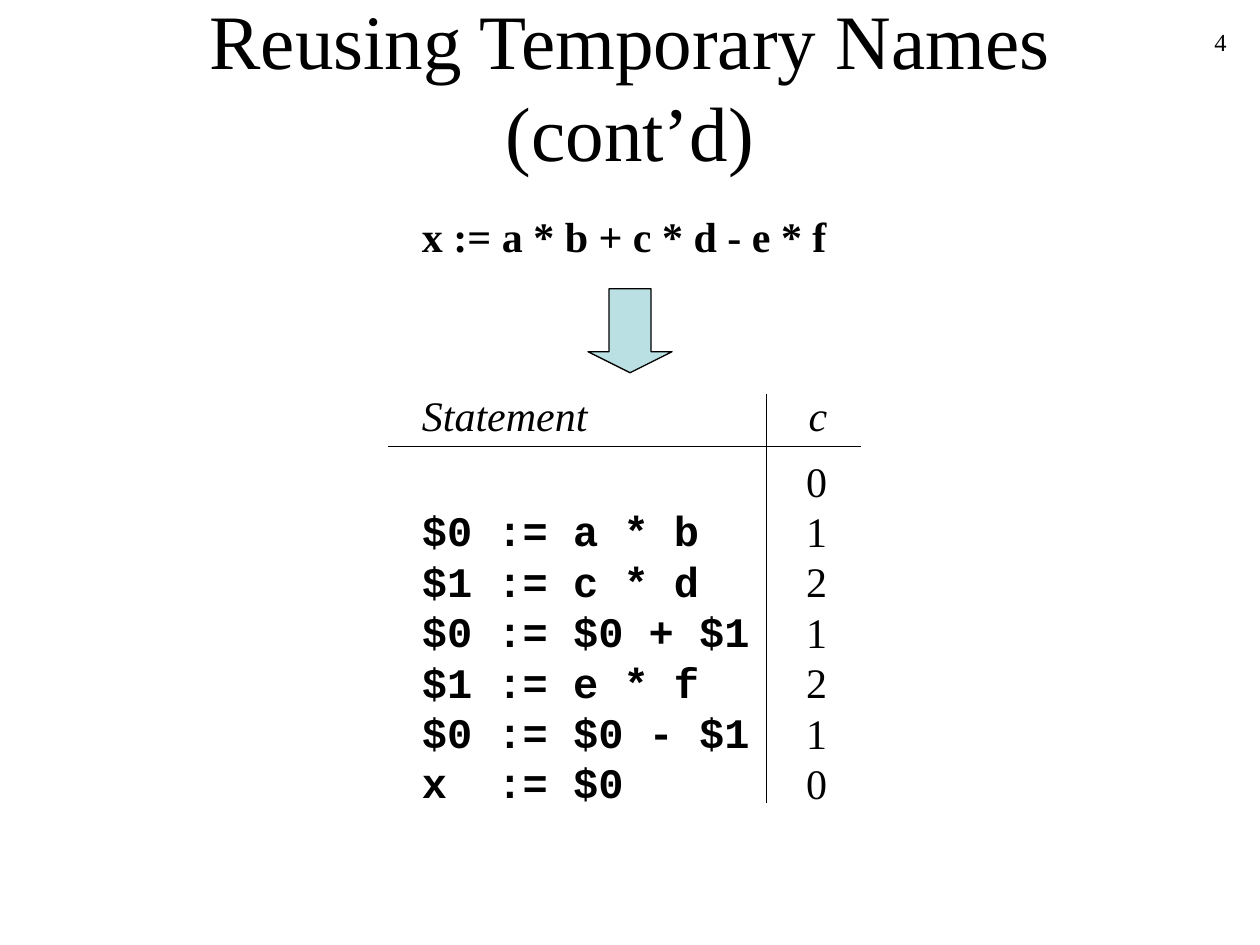
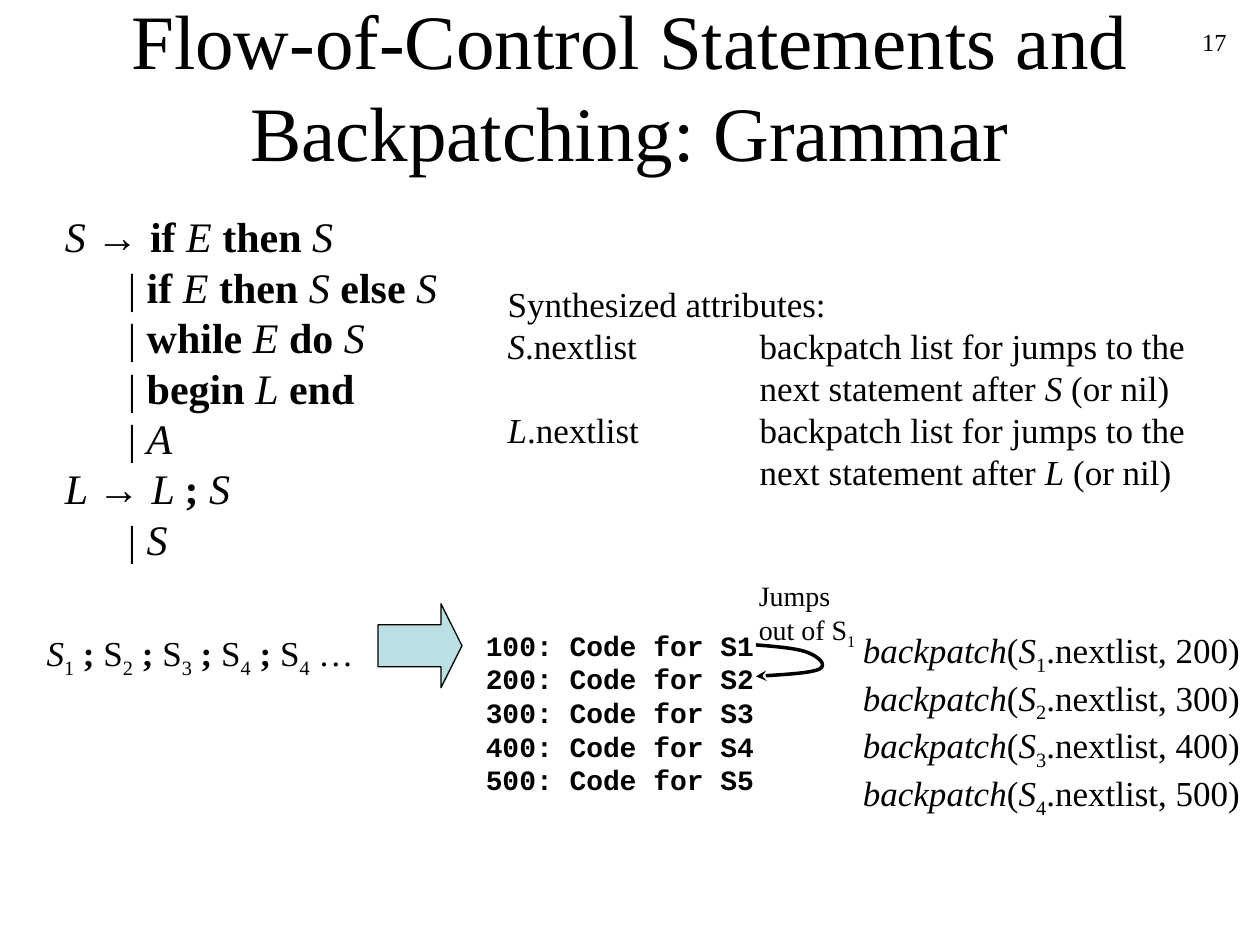
from lxml import etree
from pptx import Presentation
from pptx.dml.color import RGBColor
from pptx.enum import shapes, text
from pptx.oxml import ns
from pptx.util import Pt

BLACK = RGBColor(0x00, 0x00, 0x00)
PALE_TEAL = RGBColor(0xBB, 0xE0, 0xE3)
SERIF, MONO, SANS = "Times New Roman", "Courier New", "Arial"
TITLE_ONLY = 5


def add_child(parent, tag, **attributes):
    return etree.SubElement(parent, ns.qn(tag), attributes)


def style_font(font, size, name=SERIF, bold=None, italic=None):
    font.size, font.name = Pt(size), name
    font.bold, font.italic = bold, italic
    font.color.rgb = BLACK


def add_runs(paragraph, runs):
    """Add (text, style) runs; style letters: b bold, i italic, s subscript, a sans."""
    for content, style in runs:
        run = paragraph.add_run()
        run.text = content
        if "b" in style:
            run.font.bold = True
        if "i" in style:
            run.font.italic = True
        if "a" in style:
            run.font.name = SANS
        if "s" in style:
            run.font._element.set("baseline", "-25000")


def add_text(slide, box, lines, size, indents=(), tab=None, wrap=False,
             align=text.PP_ALIGN.LEFT, **font):
    """Place one paragraph per line; a line is a string or a list of runs."""
    frame = slide.shapes.add_textbox(*map(Pt, box)).text_frame
    frame.word_wrap = wrap
    if not wrap:
        frame.auto_size = text.MSO_AUTO_SIZE.SHAPE_TO_FIT_TEXT
    for index, line in enumerate(lines):
        paragraph = frame.add_paragraph() if index else frame.paragraphs[0]
        properties = paragraph._p.get_or_add_pPr()
        if index in indents:
            properties.set("marL", str(Pt(36)))
        if tab:
            tabs = add_child(properties, "a:tabLst")
            add_child(tabs, "a:tab", pos=str(Pt(tab)), algn="l")
        paragraph.alignment = align
        style_font(paragraph.font, size, **font)
        add_runs(paragraph, [(line, "")] if isinstance(line, str) else line)


def add_titled_slide(presentation, title, number):
    slide = presentation.slides.add_slide(presentation.slide_layouts[TITLE_ONLY])
    shape = slide.shapes.title
    shape.left, shape.top, shape.width, shape.height = map(Pt, (54, 3.5, 612, 90))
    frame = shape.text_frame
    frame.text = title
    frame.word_wrap = True
    frame.auto_size = text.MSO_AUTO_SIZE.NONE
    frame.vertical_anchor = text.MSO_ANCHOR.MIDDLE
    paragraph = frame.paragraphs[0]
    paragraph.alignment = text.PP_ALIGN.CENTER
    style_font(paragraph.font, 44)
    add_text(slide, (558, 12, 150, 36), [number], 14, wrap=True,
             align=text.PP_ALIGN.RIGHT)
    return slide


def add_block_arrow(slide, left, top, rotation=0):
    arrow = slide.shapes.add_shape(shapes.MSO_SHAPE.RIGHT_ARROW,
                                   Pt(left), Pt(top), Pt(48), Pt(48))
    arrow.adjustments[0], arrow.adjustments[1] = 0.5, 0.25
    arrow.rotation = rotation
    arrow.shadow.inherit = False
    arrow.fill.solid()
    arrow.fill.fore_color.rgb = PALE_TEAL
    arrow.line.color.rgb = BLACK
    arrow.line.width = Pt(0.75)


def add_rule(slide, *ends):
    rule = slide.shapes.add_connector(shapes.MSO_CONNECTOR.STRAIGHT, *map(Pt, ends))
    rule.line.color.rgb = BLACK
    rule.line.width = Pt(0.75)
    add_child(rule._element.spPr, "a:effectLst")


def add_statement_table(slide, left, top):
    """Ruled listing of statements beside the counter c."""
    statements = ["$0 := a * b", "$1 := c * d", "$0 := $0 + $1",
                  "$1 := e * f", "$0 := $0 - $1", "x  := $0"]
    add_text(slide, (left + 12, top + 66, 201.5, 180), statements, 24,
             name=MONO, bold=True)
    add_text(slide, (left + 231.5, top + 37.5, 26, 209), list("0121210"), 24)
    add_rule(slide, left, top + 36, left + 270, top + 36)
    add_rule(slide, left + 216, top + 6, left + 216, top + 240)
    add_text(slide, (left + 233, top, 25, 36), ["c"], 24, italic=True)
    add_text(slide, (left + 12, top, 109, 36), ["Statement"], 24, italic=True)


def add_grammar(slide, box):
    lines = [
        [("S ", "i"), ("→ ", "a"), ("if ", "b"), ("E ", "i"), ("then ", "b"), ("S", "i")],
        [("| ", ""), ("if ", "b"), ("E ", "i"), ("then ", "b"), ("S ", "i"),
         ("else ", "b"), ("S ", "i")],
        [("| ", ""), ("while ", "b"), ("E ", "i"), ("do", "b"), (" S", "i")],
        [("| ", ""), ("begin ", "b"), ("L", "i"), (" end", "b")],
        [("| ", ""), ("A", "i")],
        [("L ", "i"), ("→ ", "a"), ("L ", "i"), ("; ", "b"), ("S", "i")],
        [("|", ""), (" S", "i")],
    ]
    add_text(slide, box, lines, 24, indents=(1, 2, 3, 4, 6))


def add_attributes(slide, box):
    lines = ["Synthesized attributes:"]
    for symbol in "SL":
        lines += [
            [(symbol, "i"), (".nextlist\tbackpatch list for jumps to the", "")],
            [("\tnext statement after ", ""), (symbol, "i"), (" (or nil)", "")],
        ]
    add_text(slide, box, lines, 20, tab=144)


def add_statement_list(slide, box):
    runs = [("S", "i"), ("1", "s")]
    for number in "2344":
        runs += [(" ;", "b"), (" S", ""), (number, "s")]
    add_text(slide, box, [runs + [(" …", "")]], 20)


def add_backpatch_calls(slide, box):
    lines = [[("backpatch", "i"), ("(", ""), ("S", "i"), (str(number), "s"),
              (f".nextlist, {number + 1}00)", "")] for number in range(1, 5)]
    add_text(slide, box, lines, 20)


def curve_segments(shape):
    """Turn each three straight segments of a freeform into one Bézier curve."""
    outline = next(shape._element.iter(ns.qn("a:path")))
    segments = outline.findall(ns.qn("a:lnTo"))
    for start in range(0, len(segments), 3):
        curve = add_child(outline, "a:cubicBezTo")
        for segment in segments[start:start + 3]:
            curve.append(segment[0])
            outline.remove(segment)


def add_jump_arrow(slide, left, top):
    """Curved arrow from the first code line back to the second."""
    controls = [(12, 1), (24, 2), (30, 4.5), (36, 7), (41, 11.5),
                (36, 14), (31, 16), (16, 17), (0, 18)]
    builder = slide.shapes.build_freeform(Pt(left), Pt(top))
    builder.add_line_segments([(Pt(left + x), Pt(top + y)) for x, y in controls],
                              close=False)
    arrow = builder.convert_to_shape()
    curve_segments(arrow)
    arrow.shadow.inherit = False
    arrow.fill.background()
    arrow.line.color.rgb = BLACK
    arrow.line.width = Pt(2)
    add_child(arrow.line._get_or_add_ln(), "a:tailEnd", type="stealth")


def add_code_with_jump(slide, left, top):
    code = [f"{number}00: Code for S{number}" for number in range(1, 6)]
    add_text(slide, (left, top, 168, 104), code, 16, name=MONO, bold=True)
    add_jump_arrow(slide, left + 161.5, top + 13)
    add_text(slide, (left + 156, top - 28.5, 74, 48),
             ["Jumps", [("out of S", ""), ("1", "s")]], 16)


def build_temporary_names_slide(presentation):
    slide = add_titled_slide(presentation, "Reusing Temporary Names (cont’d)", "4")
    add_text(slide, (234, 117, 245.5, 36), ["x := a * b + c * d - e * f"], 24, bold=True)
    add_block_arrow(slide, 336, 165, rotation=90)
    add_statement_table(slide, 222, 219)


def build_backpatching_slide(presentation):
    slide = add_titled_slide(
        presentation, "Flow-of-Control Statements and Backpatching: Grammar", "17")
    add_grammar(slide, (30, 117, 233, 209))
    add_attributes(slide, (283, 158, 402, 127))
    add_statement_list(slide, (19.5, 357.5, 192, 35))
    add_block_arrow(slide, 216, 345)
    add_code_with_jump(slide, 270.5, 355.5)
    add_backpatch_calls(slide, (486, 355.5, 230, 117))


def main():
    presentation = Presentation()
    presentation.slide_width, presentation.slide_height = Pt(720), Pt(540)
    build_temporary_names_slide(presentation)
    build_backpatching_slide(presentation)
    presentation.save("out.pptx")


if __name__ == "__main__":
    main()
